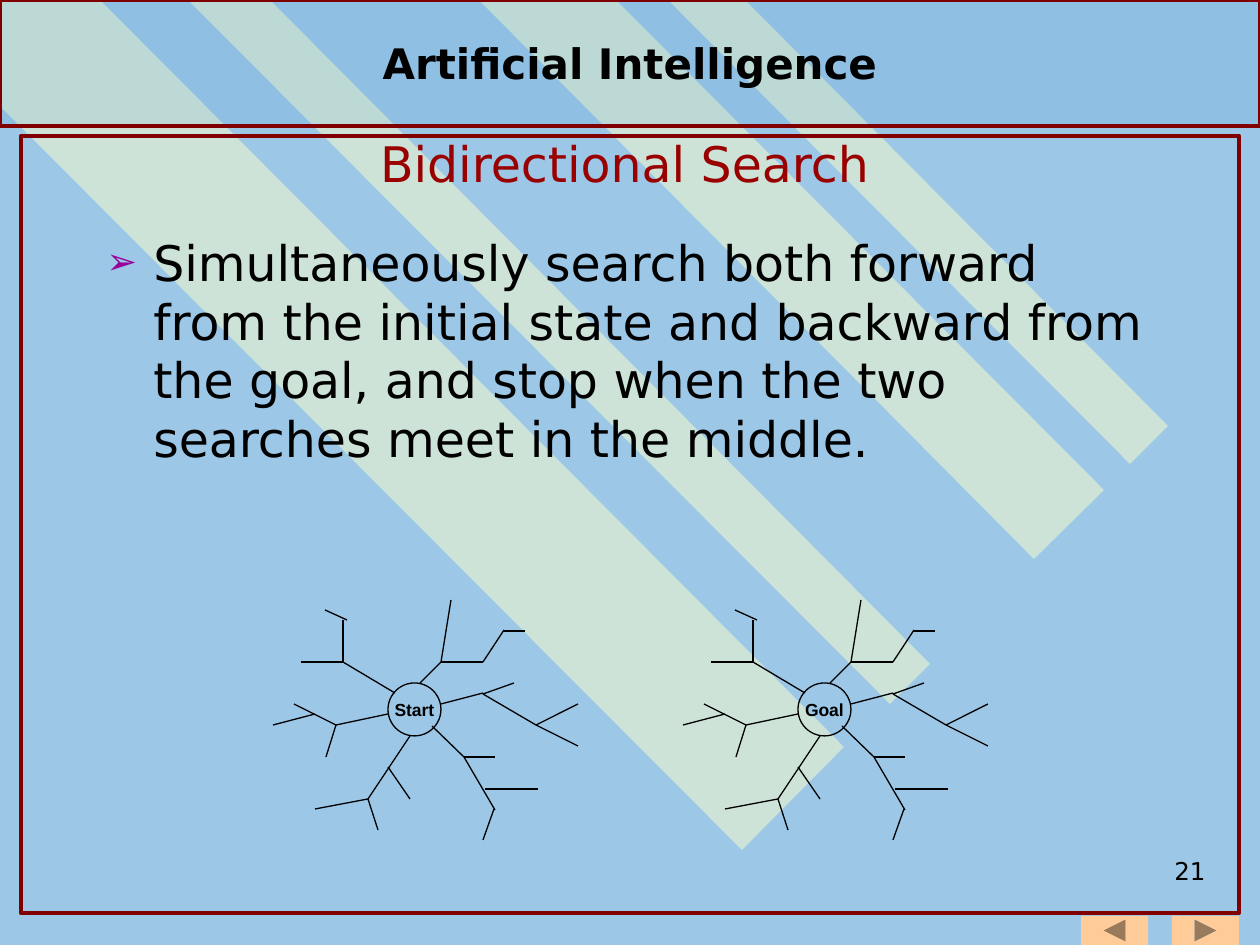
from lxml import etree
from pptx import Presentation
from pptx.dml.color import RGBColor
from pptx.enum.shapes import MSO_CONNECTOR, MSO_SHAPE
from pptx.enum.text import MSO_ANCHOR as ANCHOR, PP_ALIGN as ALIGN
from pptx.oxml.ns import qn
from pptx.util import Pt

SCALE = 914400 / 126
COLORS = {
    "background": "9CC7E6", "stripe": "FFFFCC", "header": "0070C0",
    "border": "800000", "button": "FFCC99", "title": "990000",
    "bullet": "990099", "black": "000000",
}
STRIPES = [
    [(844, 747), (100, 0), (0, 0), (0, 106), (742, 850)],
    [(270, 0), (930, 664), (890, 704), (188, 0)],
    [(616, 0), (1104, 490), (1034, 559), (479, 0)],
    [(668, 0), (1130, 464), (1168, 426), (745, 0)],
]
NODE_SIZE = 53
BRANCHES = [
    (53, 21, 95, 10), (95, 11, 148, 42), (148, 42, 190, 21), (148, 42, 190, 63),
    (95, 11, 126, 0), (44, 43, 76, 74), (76, 74, 107, 74), (76, 74, 107, 127),
    (97, 106, 150, 106), (32, 0, 53, -21), (53, -21, 95, -21), (53, -21, 63, -83),
    (7, 10, -45, -21), (-45, -21, -45, -63), (-45, -21, -87, -21),
    (0, 31, -52, 42), (-52, 42, -62, 74), (-52, 42, -94, 21),
    (22, 53, -20, 116), (-20, 116, -10, 147), (-20, 116, -73, 126),
    (0, 84, 22, 116), (-73, 31, -115, 42), (95, -21, 116, -53),
    (116, -52, 137, -52), (106, 126, 95, 157), (-41, -63, -63, -73),
]


def px(n):
    return round(n * SCALE)


def rgb(name):
    return RGBColor.from_string(COLORS[name])


class SlideBuilder:
    font = "DejaVu Sans"

    def __init__(self, slide):
        self.s = slide

    def background(self, color):
        fill = self.s.background.fill
        fill.solid()
        fill.fore_color.rgb = rgb(color)

    def paint(self, sp, fill=None, alpha=100, line=None, width=2.5):
        sp.shadow.inherit = False
        if fill:
            sp.fill.solid()
            sp.fill.fore_color.rgb = rgb(fill)
            if alpha < 100:
                clr = sp._element.spPr.find(qn("a:solidFill"))[0]
                etree.SubElement(clr, qn("a:alpha")).set("val", str(alpha * 1000))
        else:
            sp.fill.background()
        if line:
            sp.line.color.rgb = rgb(line)
            sp.line.width = Pt(width)
        else:
            sp.line.fill.background()

    def shape(self, kind, x, y, w, h, **style):
        sp = self.s.shapes.add_shape(kind, px(x), px(y), px(w), px(h))
        self.paint(sp, **style)
        return sp

    def polygon(self, points, **style):
        points = [(px(x), px(y)) for x, y in points]
        builder = self.s.shapes.build_freeform(*points[0], scale=1.0)
        builder.add_line_segments(points[1:], close=True)
        self.paint(builder.convert_to_shape(), **style)

    def line(self, x1, y1, x2, y2):
        cx = self.s.shapes.add_connector(
            MSO_CONNECTOR.STRAIGHT, px(x1), px(y1), px(x2), px(y2))
        cx.line.color.rgb = rgb("black")
        cx.line.width = Pt(0.75)
        etree.SubElement(cx._element.spPr, qn("a:effectLst"))

    def label(self, sp, text, size, color="black", bold=False, align=ALIGN.CENTER,
              anchor=ANCHOR.MIDDLE, wrap=False, font=None, bullet=None):
        tf = sp.text_frame
        tf.word_wrap = wrap
        tf.vertical_anchor = anchor
        p = tf.paragraphs[0]
        p.text = text
        p.alignment = align
        if bullet:
            self.bullet(p, bullet)
        f = p.runs[0].font
        f.name = font or self.font
        f.size = Pt(size)
        f.bold = bold
        f.color.rgb = rgb(color)

    def bullet(self, p, char, indent=47):
        pPr = p._p.get_or_add_pPr()
        pPr.set("marL", str(px(indent)))
        pPr.set("indent", str(-px(indent)))
        clr = etree.SubElement(pPr, qn("a:buClr"))
        etree.SubElement(clr, qn("a:srgbClr")).set("val", COLORS["bullet"])
        etree.SubElement(pPr, qn("a:buSzPct")).set("val", "75000")
        etree.SubElement(pPr, qn("a:buFont")).set("typeface", self.font)
        etree.SubElement(pPr, qn("a:buChar")).set("char", char)

    def text(self, x, y, w, h, text, size, **style):
        sp = self.s.shapes.add_textbox(px(x), px(y), px(w), px(h))
        self.label(sp, text, size, wrap=True, **style)

    def tree(self, x, y, name):
        node = self.shape(MSO_SHAPE.OVAL, x, y, NODE_SIZE, NODE_SIZE,
                          line="black", width=0.75)
        self.label(node, name, 10, bold=True, font="Arial")
        for x1, y1, x2, y2 in BRANCHES:
            self.line(x + x1, y + y1, x + x2, y + y2)


def main():
    prs = Presentation()
    prs.slide_width, prs.slide_height = px(1260), px(945)
    b = SlideBuilder(prs.slides.add_slide(prs.slide_layouts[6]))
    b.background("background")
    for points in STRIPES:
        b.polygon(points, fill="stripe", alpha=50)
    b.shape(MSO_SHAPE.RECTANGLE, 21, 136, 1218, 777, line="border")
    for kind, x in ((MSO_SHAPE.ACTION_BUTTON_BACK_OR_PREVIOUS, 1081),
                    (MSO_SHAPE.ACTION_BUTTON_FORWARD_OR_NEXT, 1172)):
        b.shape(kind, x, 916, 67, 29, fill="button")
    header = b.shape(MSO_SHAPE.RECTANGLE, 0, 0, 1260, 126,
                     fill="header", alpha=8, line="border")
    b.label(header, "Artificial Intelligence", 24, bold=True)
    b.text(1124, 850, 94, 63, "21", 14, align=ALIGN.RIGHT, anchor=ANCHOR.TOP)
    b.text(94, 226, 1071, 614,
           "Simultaneously search both forward from the initial state and "
           "backward from the goal, and stop when the two searches meet in "
           "the middle.",
           28, align=ALIGN.LEFT, anchor=ANCHOR.TOP, bullet="➢")
    b.text(21, 126, 1207, 73, "Bidirectional Search", 28, color="title")
    for x, name in ((388, "Start"), (798, "Goal")):
        b.tree(x, 683, name)
    prs.save("out.pptx")


if __name__ == "__main__":
    main()
